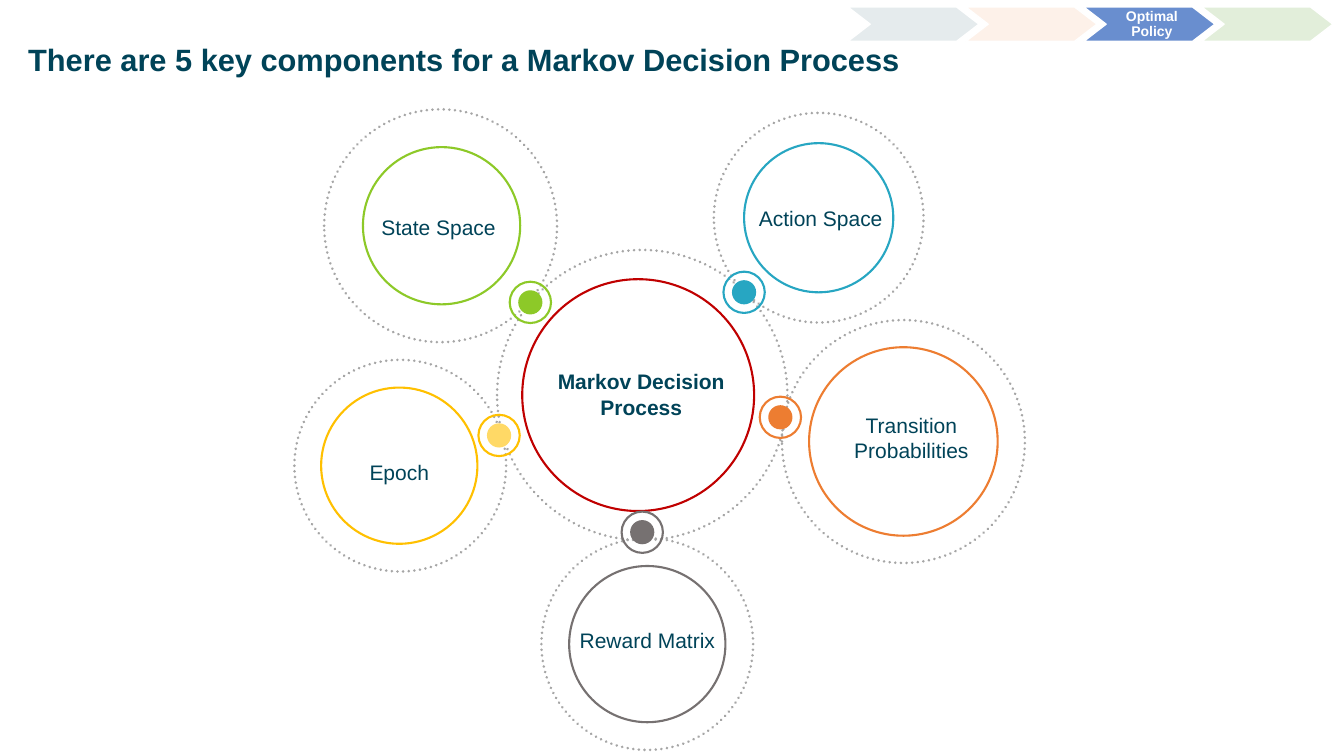
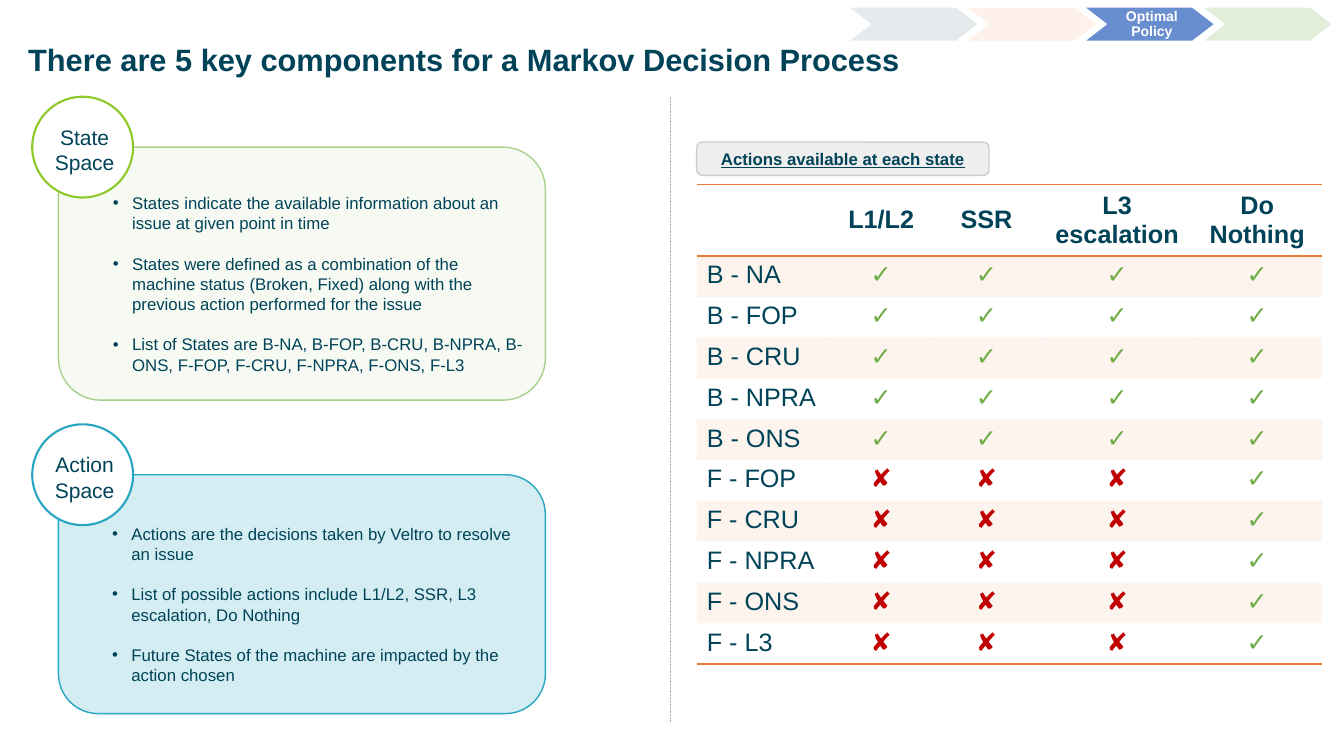
from lxml.etree import SubElement
from pptx import Presentation
from pptx.dml.color import RGBColor
from pptx.enum.dml import MSO_LINE
from pptx.enum.shapes import MSO_CONNECTOR, MSO_SHAPE
from pptx.enum.text import MSO_ANCHOR, MSO_AUTO_SIZE, PP_ALIGN
from pptx.oxml.ns import qn
from pptx.util import Inches, Pt

FONT = "Arial"
COLORS = {
    "navy": "004358", "white": "FFFFFF", "blue": "4472C4", "green": "70AD47",
    "orange": "ED7D31", "lime": "8DC928", "teal": "27A6C2", "gold": "FFC000",
    "pale gold": "FFD966", "gray": "767171", "red": "C00000", "dots": "A6A6A6",
    "mint": "E2F0D9", "mint edge": "A9D18E", "silver": "AFABAB",
    "silver edge": "D0CECE", "peach": "F8CBAD",
}
PLAIN_TABLE_STYLE = "{2D5ABB26-0587-4C30-8999-92F81FD0307C}"


def add_figure(slide, kind, box, fill=None, line=None, width=1.5, opacity=100):
    """Add a flat preset shape; box is left, top, width, height in inches."""
    shape = slide.shapes.add_shape(kind, *[Inches(length) for length in box])
    shape.shadow.inherit = False
    if fill:
        shape.fill.solid()
        shape.fill.fore_color.rgb = RGBColor.from_string(COLORS[fill])
        if opacity < 100:
            color = shape.element.spPr.find(qn("a:solidFill")).find(qn("a:srgbClr"))
            SubElement(color, qn("a:alpha"), val=str(opacity * 1000))
    else:
        shape.fill.background()
    if line:
        shape.line.color.rgb = RGBColor.from_string(COLORS[line])
        shape.line.width = Pt(width)
    else:
        shape.line.fill.background()
    return shape


def format_text(frame, size, color="navy", bold=False, align=PP_ALIGN.CENTER,
                anchor=MSO_ANCHOR.MIDDLE, margins=None):
    """Format all runs of a frame; margins are left, top, right, bottom in inches."""
    frame.word_wrap = True
    frame.vertical_anchor = anchor
    if margins:
        (frame.margin_left, frame.margin_top,
         frame.margin_right, frame.margin_bottom) = [Inches(m) for m in margins]
    for para in frame.paragraphs:
        para.alignment = align
        for span in para.runs:
            span.font.name = FONT
            span.font.size = Pt(size)
            span.font.bold = bold
            span.font.color.rgb = RGBColor.from_string(COLORS[color])


deck = Presentation()
deck.slide_width, deck.slide_height = Inches(13.33), Inches(7.5)

# Title and progress chevrons shared by both slides; only the current step is named
steps = [("", "navy", 10), ("", "orange", 10), ("Optimal Policy", "blue", 80),
         ("", "green", 20)]
for _ in range(2):
    slide = deck.slides.add_slide(deck.slide_layouts[5])
    title = slide.shapes.title
    title.left, title.top = Inches(0.18), Inches(0.4)
    title.width, title.height = Inches(11.5), Inches(0.82)
    title.text_frame.text = "There are 5 key components for a Markov Decision Process"
    title.text_frame.auto_size = MSO_AUTO_SIZE.NONE
    title.text_frame.paragraphs[0].line_spacing = 0.9
    format_text(title.text_frame, 22, bold=True, align=PP_ALIGN.LEFT,
                anchor=MSO_ANCHOR.TOP)
    for index, (label, color, opacity) in enumerate(steps):
        chevron = add_figure(slide, MSO_SHAPE.CHEVRON,
                             (8.41 + 1.17 * index, 0.07, 1.3, 0.34),
                             color, "white", 1, opacity)
        chevron.adjustments[0] = 0.65
        if label:
            chevron.text_frame.text = label
            chevron.text_frame.paragraphs[0].line_spacing = 0.9
            format_text(chevron.text_frame, 10, "white", True, margins=(0.05, 0, 0, 0))

overview, details = deck.slides

# Slide 1: ringed circles around the process
# label, color, circle center, ring center x, diameters, label center, label width
components = [
    ("Markov Decision Process", "red", (6.33, 3.92), 6.37, 2.3, 2.88, (6.36, 3.91), 1.94),
    ("State Space", "lime", (4.38, 2.24), 4.37, 1.56, 2.31, (4.35, 2.25), 1.31),
    ("Action Space", "teal", (8.12, 2.16), 8.12, 1.48, 2.08, (8.14, 2.16), 1.5),
    ("Transition Probabilities", "orange", (8.96, 4.38), 8.96, 1.87, 2.41,
     (9.04, 4.34), 1.53),
    ("Reward Matrix", "gray", (6.42, 6.39), 6.42, 1.55, 2.1, (6.42, 6.35), 1.59),
    ("Epoch", "gold", (3.96, 4.62), 3.97, 1.55, 2.1, (3.96, 4.68), 1.59),
]
for label, color, (x, y), ring_x, inner, outer, (label_x, label_y), label_width in components:
    add_figure(overview, MSO_SHAPE.OVAL,
               (x - inner / 2, y - inner / 2, inner, inner), "white", color)
    ring = add_figure(overview, MSO_SHAPE.OVAL,
                      (ring_x - outer / 2, y - outer / 2, outer, outer), None, "dots", 2)
    ring.line.dash_style = MSO_LINE.ROUND_DOT
    ring.element.spPr.find(qn("a:ln")).set("cap", "rnd")
    box = overview.shapes.add_textbox(
        Inches(label_x - label_width / 2), Inches(label_y - 0.3),
        Inches(label_width), Inches(0.6))
    box.text_frame.text = label
    format_text(box.text_frame, 15, bold=color == "red", margins=(0, 0.05, 0, 0.05))

joints = [
    ("lime", "lime", 5.26, 3.0),
    ("gold", "pale gold", 4.95, 4.32),
    ("teal", "teal", 7.38, 2.9),
    ("orange", "orange", 7.74, 4.14),
    ("gray", "gray", 6.37, 5.28),
]
for edge, core, x, y in joints:
    for size, fill, line in ((0.24, core, None), (0.41, None, edge)):
        add_figure(overview, MSO_SHAPE.OVAL, (x - size / 2, y - size / 2, size, size),
                   fill, line)

# Slide 2, left: the two explained components
panels = [
    ("State Space", 1.46, 2.51, "mint", 30, "mint edge", "lime", [
        "States indicate the available information about an issue at given point in time",
        "States were defined as a combination of the machine status (Broken, Fixed) "
        "along with the previous action performed for the issue",
        "List of States are B-NA, B-FOP, B-CRU, B-NPRA, B-ONS, F-FOP, F-CRU, "
        "F-NPRA, F-ONS, F-L3",
    ]),
    ("Action Space", 4.71, 2.37, "teal", 20, "teal", "teal", [
        "Actions are the decisions taken by Veltro to resolve an issue",
        "List of possible actions include L1/L2, SSR, L3 escalation, Do Nothing",
        "Future States of the machine are impacted by the action chosen",
    ]),
]
for label, top, height, fill, opacity, edge, badge_edge, bullets in panels:
    panel = add_figure(details, MSO_SHAPE.ROUNDED_RECTANGLE,
                       (0.58, top, 4.83, height), fill, edge, 1, opacity)
    panel.text_frame.text = "\n".join(bullets)
    for index, para in enumerate(panel.text_frame.paragraphs):
        properties = para._p.get_or_add_pPr()
        properties.set("marL", str(Inches(0.51)))
        properties.set("indent", str(Inches(-0.19)))
        SubElement(properties, qn("a:buFont"), typeface=FONT)
        SubElement(properties, qn("a:buChar"), char="•")
        if index:
            para.space_before = Pt(14.4)
    format_text(panel.text_frame, 12, align=PP_ALIGN.LEFT,
                margins=(0.1, 0.25, 0.1, 0.05))
    badge = add_figure(details, MSO_SHAPE.OVAL, (0.32, top - 0.5, 1, 1),
                       "white", badge_edge)
    badge.text_frame.text = label
    format_text(badge.text_frame, 15, margins=(0.04, 0.05, 0, 0))

divider = details.shapes.add_connector(
    MSO_CONNECTOR.STRAIGHT, Inches(6.65), Inches(0.96), Inches(6.65), Inches(7.16))
divider.line.color.rgb = RGBColor.from_string(COLORS["silver"])
divider.line.width = Pt(0.5)
divider.line.dash_style = MSO_LINE.ROUND_DOT
SubElement(divider.element.spPr, qn("a:effectLst"))

# Slide 2, right: actions available at each state
caption = add_figure(details, MSO_SHAPE.ROUNDED_RECTANGLE, (6.91, 1.41, 2.9, 0.33),
                     "silver", "silver edge", 1, 20)
caption.text_frame.text = "Actions available at each state"
format_text(caption.text_frame, 12, bold=True)
caption.text_frame.paragraphs[0].runs[0].font.underline = True

broken = ["B - NA", "B - FOP", "B - CRU", "B - NPRA", "B - ONS"]
fixed = ["F - FOP", "F - CRU", "F - NPRA", "F - ONS", "F - L3"]
rows = [["", "L1/L2", "SSR", "L3 escalation", "Do Nothing"]]
rows += [[state, "✓", "✓", "✓", "✓"] for state in broken]
rows += [[state, "✘", "✘", "✘", "✓"] for state in fixed]
mark_colors = {"✓": "green", "✘": "red"}

table_height, header_height = Inches(4.76), Inches(0.71)
table_frame = details.shapes.add_table(
    len(rows), len(rows[0]), Inches(6.91), Inches(1.83), Inches(6.2), table_height)
table_frame.element.find(".//" + qn("a:tableStyleId")).text = PLAIN_TABLE_STYLE
table = table_frame.table
table.horz_banding = False
for column, width in zip(table.columns, (1.33, 1, 1.09, 1.5, 1.28)):
    column.width = Inches(width)
for row_index, values in enumerate(rows):
    is_header = row_index == 0
    table.rows[row_index].height = (
        header_height if is_header else (table_height - header_height) // (len(rows) - 1))
    borders = {0: ("a:lnT", "a:lnB"), len(rows) - 1: ("a:lnB",)}.get(row_index, ())
    for column_index, value in enumerate(values):
        cell = table.cell(row_index, column_index)
        cell.text = value
        format_text(cell.text_frame, 18, mark_colors.get(value, "navy"),
                    bold=is_header or column_index > 0,
                    align=PP_ALIGN.CENTER if column_index else PP_ALIGN.LEFT)
        cell.vertical_anchor = MSO_ANCHOR.MIDDLE if is_header else MSO_ANCHOR.TOP
        properties = cell._tc.get_or_add_tcPr()
        for side in borders:
            border = SubElement(properties, qn(side), w=str(Pt(1)))
            paint = SubElement(border, qn("a:solidFill"))
            SubElement(paint, qn("a:srgbClr"), val=COLORS["orange"])
        if row_index % 2:
            cell.fill.solid()
            cell.fill.fore_color.rgb = RGBColor.from_string(COLORS["peach"])
            color = properties.find(qn("a:solidFill")).find(qn("a:srgbClr"))
            SubElement(color, qn("a:alpha"), val="20000")
        else:
            cell.fill.background()

deck.save("out.pptx")
